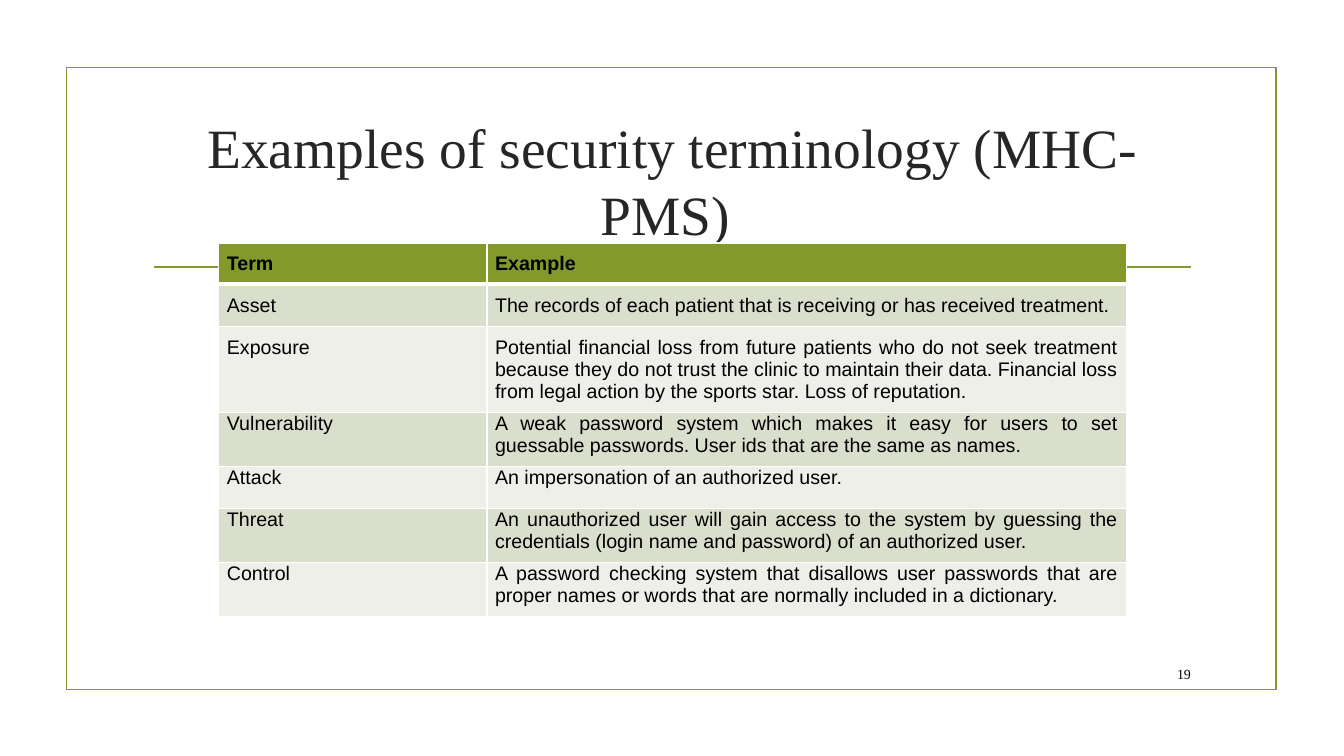
"""Build the slide on security terminology."""
from dataclasses import dataclass

from lxml import etree
from pptx import Presentation
from pptx.dml.color import RGBColor
from pptx.enum.shapes import MSO_CONNECTOR, MSO_SHAPE
from pptx.enum.text import MSO_ANCHOR, MSO_AUTO_SIZE, PP_ALIGN
from pptx.oxml.ns import qn
from pptx.slide import Slide
from pptx.table import _Cell
from pptx.text.text import TextFrame
from pptx.util import Inches, Pt

OLIVE = RGBColor(0x83, 0x99, 0x2A)
DARK = RGBColor(0x26, 0x26, 0x26)
BLACK = RGBColor(0, 0, 0)
WHITE = RGBColor(0xFF, 0xFF, 0xFF)
SAGE = RGBColor(0xD9, 0xDE, 0xCD)
PALE = RGBColor(0xED, 0xEF, 0xE8)
SERIF, SANS = "Times New Roman", "Arial"
RECT, LINE = MSO_SHAPE.RECTANGLE, MSO_CONNECTOR.STRAIGHT
MIDDLE, NO_FIT = MSO_ANCHOR.MIDDLE, MSO_AUTO_SIZE.NONE
CENTER, RIGHT, JUSTIFY = PP_ALIGN.CENTER, PP_ALIGN.RIGHT, PP_ALIGN.JUSTIFY
WIDTHS = (2.66, 6.34)
HEIGHT = 0.41


@dataclass
class Entry:
    """One table row with its top and bottom cell margins."""
    term: str
    text: str
    top: float = 0
    base: float = 0.1


ENTRIES = [
    Entry("Term", "Example", 0.1, 0),
    Entry("Asset", "The records of each patient that is receiving or has "
          "received treatment.", 0.1),
    Entry("Exposure", "Potential financial loss from future patients who do "
          "not seek treatment because they do not trust the clinic to "
          "maintain their data. Financial loss from legal action by the "
          "sports star. Loss of reputation.", 0.1),
    Entry("Vulnerability", "A weak password system which makes it easy for "
          "users to set guessable passwords. User ids that are the same as "
          "names."),
    Entry("Attack", "An impersonation of an authorized user."),
    Entry("Threat", "An unauthorized user will gain access to the system by "
          "guessing the credentials (login name and password) of an "
          "authorized user."),
    Entry("Control", "A password checking system that disallows user "
          "passwords that are proper names or words that are normally "
          "included in a dictionary."),
]


def write(frame: TextFrame, text: str, size: float, face: str,
          color: RGBColor, align: PP_ALIGN, bold: bool = False) -> None:
    """Put one formatted paragraph in a text frame."""
    frame.text = text
    para = frame.paragraphs[0]
    para.alignment = align
    font = para.runs[0].font
    font.size, font.name, font.bold = Pt(size), face, bold
    font.color.rgb = color


def edge(cell: _Cell, base: float) -> None:
    """Give a cell white borders, with its own bottom width in points."""
    props = cell._tc.get_or_add_tcPr()
    sides = {"a:lnL": 1, "a:lnR": 1, "a:lnT": 1, "a:lnB": base}
    for spot, (tag, width) in enumerate(sides.items()):
        line = etree.Element(qn(tag), w=str(Pt(width)))
        fill = etree.SubElement(line, qn("a:solidFill"))
        etree.SubElement(fill, qn("a:srgbClr"), val=str(WHITE))
        props.insert(spot, line)


def add_frame(slide: Slide) -> None:
    """Draw the outer frame and the rule under the title."""
    frame = slide.shapes.add_shape(
        RECT, Inches(0.66), Inches(0.67), Inches(12), Inches(6.17))
    frame.shadow.inherit = False
    frame.fill.background()
    rule = slide.shapes.add_connector(
        LINE, Inches(1.53), Inches(2.65), Inches(11.81), Inches(2.65))
    etree.SubElement(rule._element.spPr, qn("a:effectLst"))
    for shape in (frame, rule):
        shape.line.color.rgb = OLIVE
        shape.line.width = Pt(1.25)


def add_title(slide: Slide) -> None:
    """Place and fill the title."""
    title = slide.shapes.title
    title.left, title.top = Inches(1.42), Inches(1.07)
    title.width, title.height = Inches(10.5), Inches(1.43)
    frame = title.text_frame
    write(frame, "Examples of security terminology (MHC-PMS) ", 39.6,
          SERIF, DARK, CENTER)
    frame.word_wrap, frame.auto_size = True, NO_FIT
    frame.vertical_anchor = MIDDLE


def add_terms(slide: Slide) -> None:
    """Draw the table of terms and examples."""
    table = slide.shapes.add_table(
        len(ENTRIES), len(WIDTHS), Inches(2.17), Inches(2.41),
        Inches(sum(WIDTHS)), Inches(HEIGHT * len(ENTRIES))).table
    for col, width in zip(table.columns, WIDTHS):
        col.width = Inches(width)
    for row, (line, entry) in enumerate(zip(table.rows, ENTRIES)):
        line.height = Inches(HEIGHT)
        head = row == 0
        fill = OLIVE if head else SAGE if row % 2 else PALE
        for cell, text in zip(line.cells, (entry.term, entry.text)):
            write(cell.text_frame, text, 14, SANS, BLACK, JUSTIFY, head)
            cell.margin_left = cell.margin_right = Inches(0.08)
            cell.margin_top = Inches(entry.top)
            cell.margin_bottom = Inches(entry.base)
            cell.fill.solid()
            cell.fill.fore_color.rgb = fill
            edge(cell, 3 if head else 1)


def add_number(slide: Slide) -> None:
    """Write the slide number."""
    box = slide.shapes.add_textbox(
        Inches(11.32), Inches(6.53), Inches(0.59), Inches(0.31))
    frame = box.text_frame
    frame.word_wrap, frame.vertical_anchor = True, MIDDLE
    write(frame, "19", 10, SERIF, BLACK, RIGHT)


def main() -> None:
    """Build and save the deck."""
    deck = Presentation()
    deck.slide_width, deck.slide_height = Inches(13.33), Inches(7.5)
    slide = deck.slides.add_slide(deck.slide_layouts[5])
    add_frame(slide)
    add_title(slide)
    add_terms(slide)
    add_number(slide)
    deck.save("out.pptx")


if __name__ == "__main__":
    main()
